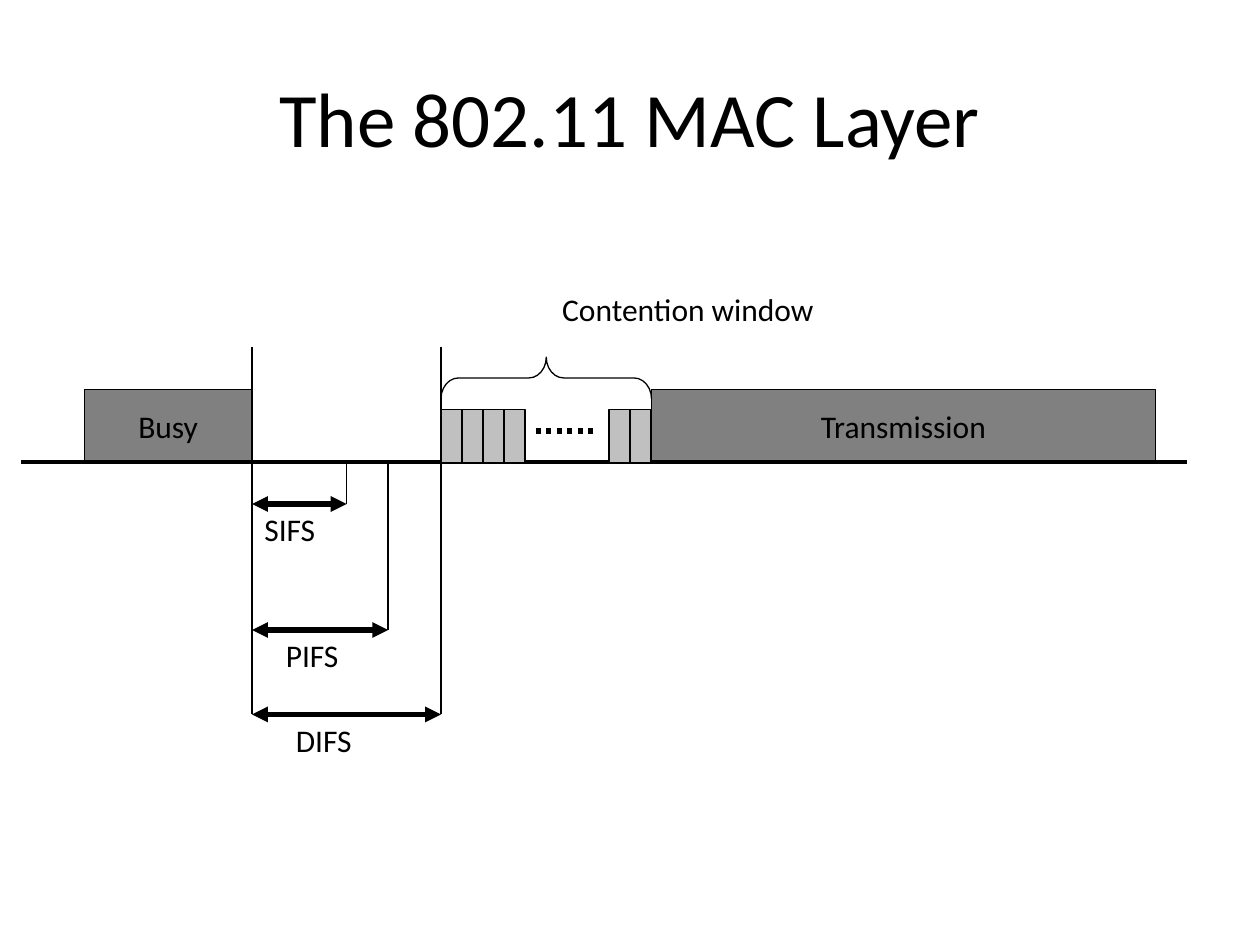
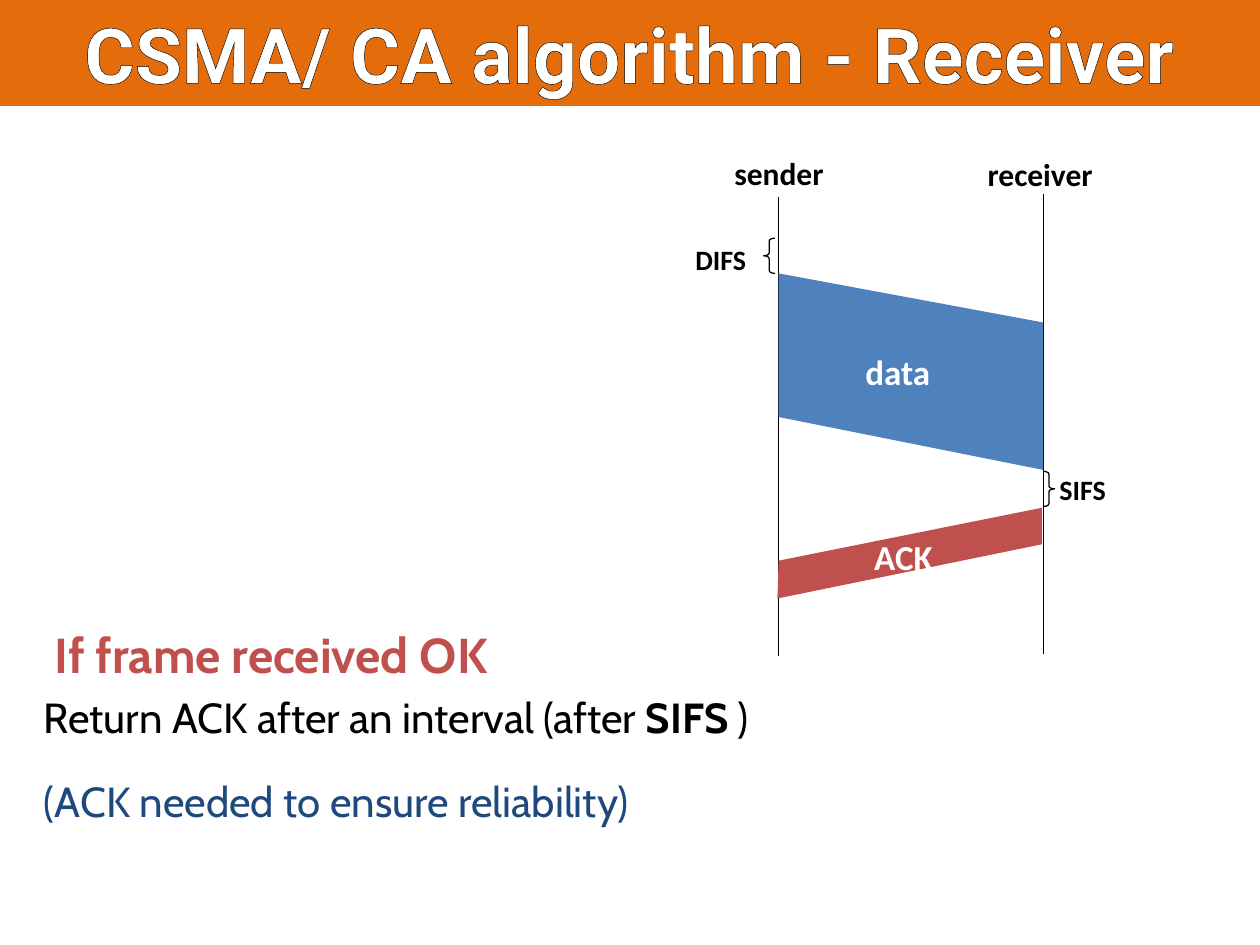
from dataclasses import dataclass

from lxml import etree
from pptx import Presentation
from pptx import util as u
from pptx.dml.color import RGBColor
from pptx.enum import dml, shapes, text
from pptx.oxml import ns


@dataclass(frozen=True)
class Theme:
    ink: str = "000000"
    paper: str = "FFFFFF"
    carrier: str = "808080"
    slot: str = "C0C0C0"
    band: str = "E46C0A"
    data: str = "4F81BD"
    ack: str = "C0504D"
    remark: str = "1F497D"
    font: str = "Calibri"
    band_font: str = "Roboto"
    rule_font: str = "Cabin"
    title: int = 44
    heading: int = 28
    body: int = 24
    frame: int = 20
    label: int = 18
    gap: int = 16
    hairline: float = 0.75
    axis: float = 2.25
    span: float = 3


@dataclass(frozen=True)
class Box:
    left: float
    top: float
    width: float
    height: float

    def sub(self, left, top, width, height):
        """Return a box placed relative to this one."""
        return Box(self.left + left, self.top + top, width, height)

    def point(self, x, y):
        return u.Inches(self.left + x), u.Inches(self.top + y)

    def lengths(self):
        return [u.Inches(v) for v in (self.left, self.top, self.width, self.height)]


THEME = Theme()
ALIGN = text.PP_ALIGN
SHAPE = shapes.MSO_SHAPE


def style_run(run, size, color=THEME.ink, font=THEME.font, bold=False):
    run.font.size = u.Pt(size)
    run.font.name = font
    run.font.bold = bold
    run.font.color.rgb = RGBColor.from_string(color)


def outline_run(run):
    """Draw a thin ink contour around the letters of a run."""
    properties = run.font._element
    contour = etree.Element(ns.qn("a:ln"), w=str(u.Pt(THEME.hairline)))
    fill = etree.SubElement(contour, ns.qn("a:solidFill"))
    etree.SubElement(fill, ns.qn("a:srgbClr"), val=THEME.ink)
    properties.insert(0, contour)


def write(shape, words, size, align=ALIGN.LEFT, wrap=True, **style):
    """Fill a shape with one styled line and return its run."""
    frame = shape.text_frame
    frame.word_wrap = wrap
    frame.text = words
    line = frame.paragraphs[0]
    line.alignment = align
    style_run(line.runs[0], size, **style)
    return line.runs[0]


def add_label(slide, box, words, size=THEME.label, **style):
    label = slide.shapes.add_textbox(*box.lengths())
    write(label, words, size, **style)
    return label


def paint(shape, fill=None, line=None):
    shape.shadow.inherit = False
    if fill:
        shape.fill.solid()
        shape.fill.fore_color.rgb = RGBColor.from_string(fill)
    else:
        shape.fill.background()
    if line:
        shape.line.color.rgb = RGBColor.from_string(line)
        shape.line.width = u.Pt(THEME.hairline)
    else:
        shape.line.fill.background()


def add_preset(slide, preset, box, fill=None, line=THEME.ink):
    shape = slide.shapes.add_shape(preset, *box.lengths())
    paint(shape, fill, line)
    return shape


def add_line(slide, start, end, width=THEME.hairline, arrows=False):
    line = slide.shapes.add_connector(shapes.MSO_CONNECTOR.STRAIGHT, *start, *end)
    line.line.color.rgb = RGBColor.from_string(THEME.ink)
    line.line.width = u.Pt(width)
    if arrows:
        for end_tag in ("a:headEnd", "a:tailEnd"):
            etree.SubElement(line.line._get_or_add_ln(), ns.qn(end_tag), type="triangle")
    etree.SubElement(line._element.spPr, ns.qn("a:effectLst"))
    return line


def add_plain_title(slide, box, words):
    title = add_label(slide, box, words, THEME.title, align=ALIGN.CENTER)
    title.text_frame.vertical_anchor = text.MSO_ANCHOR.MIDDLE


def add_band_title(slide, box, words):
    band = add_preset(slide, SHAPE.RECTANGLE, box, THEME.band, line=None)
    outline_run(write(band, words, THEME.title, ALIGN.CENTER, color=THEME.paper,
                      font=THEME.band_font, bold=True))


def add_contention_window(slide, box):
    """Draw back-off slots on the box floor, a brace over them and a caption."""
    slot_width, slot_height = 1 / 6, 0.42
    slot_top = box.height - slot_height
    for index in (0, 1, 2, 3, 8, 9):
        slot = box.sub(index * slot_width, slot_top, slot_width, slot_height)
        add_preset(slide, SHAPE.RECTANGLE, slot, THEME.slot)
    omitted = add_line(slide, box.point(0.75, slot_top + 0.17),
                       box.point(1.25, slot_top + 0.17), THEME.span)
    omitted.line.dash_style = dml.MSO_LINE.ROUND_DOT

    depth = 0.33
    brace_box = box.sub((box.width - depth) / 2, 0.75 - box.width / 2, depth, box.width)
    brace = add_preset(slide, SHAPE.LEFT_BRACE, brace_box)
    brace.rotation = 90
    brace.adjustments[0] = 0.42
    add_label(slide, box.sub(0.17, 0, 3.58, 0.51), "Contention window", align=ALIGN.CENTER)


def add_medium_timeline(slide, box):
    """Draw the channel over time with its inter-frame spaces below the axis."""
    axis_y, bar_height = 1.42, 0.58
    busy_end, window_start, window_width = 1.83, 3.33, 1.67
    window_end = window_start + window_width

    for words, start, width in (("Busy", 0.5, 1.33), ("Transmission", window_end, 4)):
        bar_box = box.sub(start, axis_y - bar_height, width, bar_height)
        bar = add_preset(slide, SHAPE.RECTANGLE, bar_box, THEME.carrier)
        write(bar, words, THEME.label, ALIGN.CENTER, wrap=False)

    add_line(slide, box.point(busy_end, 0.5), box.point(busy_end, 3.42))
    for words, length, y, indent, tick_top in (("DIFS", 1.5, 3.42, 0.25, 0.5),
                                               ("PIFS", 1.08, 2.75, 0.17, axis_y),
                                               ("SIFS", 0.75, 1.75, 0, axis_y)):
        space_end = busy_end + length
        add_line(slide, box.point(busy_end, y), box.point(space_end, y),
                 THEME.span, arrows=True)
        add_line(slide, box.point(space_end, tick_top), box.point(space_end, y))
        add_label(slide, box.sub(busy_end + indent, y, 1.17, 0.51), words)

    add_line(slide, box.point(0, axis_y), box.point(box.width, axis_y), THEME.axis)
    add_contention_window(slide, box.sub(window_start, 0, window_width, axis_y))


def add_frame(slide, box, corners, fill):
    """Draw a frame in flight as a slanted band between the two lifelines."""
    first, *others = [box.point(x, y) for x, y in corners]
    outline = slide.shapes.build_freeform(*first)
    outline.add_line_segments(others, close=True)
    paint(outline.convert_to_shape(), fill)


def add_exchange(slide, box):
    """Draw sender and receiver lifelines with the data and ACK frames."""
    sender, receiver = 0.76, 2.86
    for x, top in ((sender, 0.39), (receiver, 0.37)):
        add_line(slide, box.point(x, top), box.point(x, top + 3.65))

    add_frame(slide, box, ((sender, 1), (receiver, 1.39),
                           (receiver, 2.56), (sender, 2.14)), THEME.data)
    add_frame(slide, box, ((sender - 0.01, 3.58), (receiver - 0.01, 3.15),
                           (receiver - 0.01, 2.86), (sender, 3.28)), THEME.ack)

    for preset, x, y in ((SHAPE.LEFT_BRACE, 0.64, 0.72),
                         (SHAPE.RIGHT_BRACE, receiver, 2.57)):
        brace = add_preset(slide, preset, box.sub(x, y, 0.09, 0.28))
        brace.adjustments[0] = 0.25

    for words, x, y, width, height, size, color in (
            ("sender", 0.31, 0, 0.91, 0.4, THEME.label, THEME.ink),
            ("receiver", 2.32, 0.01, 1.04, 0.4, THEME.label, THEME.ink),
            ("DIFS", 0, 0.71, 0.61, 0.37, THEME.gap, THEME.ink),
            ("SIFS", 2.89, 2.53, 0.58, 0.37, THEME.gap, THEME.ink),
            ("data", 1.35, 1.56, 0.72, 0.44, THEME.frame, THEME.paper),
            ("ACK", 1.42, 3.03, 0.67, 0.44, THEME.frame, THEME.paper)):
        add_label(slide, box.sub(x, y, width, height), words, size,
                  color=color, bold=True, wrap=False)


def add_receiver_rule(slide, box):
    """Write the heading, the rule and the remark; each run is (words, size, color, bold)."""
    lines = (
        (1.5, 0, [(" If frame received OK", THEME.heading, THEME.ack, True)]),
        (1, 5, [("Return ACK after an interval (after ", THEME.body, THEME.ink, False),
                ("SIFS", THEME.body, THEME.ink, True),
                (" )", THEME.body, THEME.ink, False)]),
        (1.5, 5, [("(ACK needed to ensure reliability)", THEME.body, THEME.remark, False)]),
    )
    frame = slide.shapes.add_textbox(*box.lengths()).text_frame
    frame.word_wrap = True
    for index, (spacing, before, runs) in enumerate(lines):
        line = frame.add_paragraph() if index else frame.paragraphs[0]
        line.line_spacing = spacing
        line.space_before = u.Pt(before)
        for words, size, color, bold in runs:
            run = line.add_run()
            run.text = words
            style_run(run, size, color, THEME.rule_font, bold)


def build_mac_layer(slide):
    add_plain_title(slide, Box(0.5, 0.3, 9, 1.25), "The 802.11 MAC Layer")
    add_medium_timeline(slide, Box(0.17, 2.25, 9.25, 3.93))


def build_receiver(slide):
    add_receiver_rule(slide, Box(0.25, 4.67, 7.67, 2.25))
    add_band_title(slide, Box(0, 0, 10, 0.84), "CSMA/ CA algorithm - Receiver")
    add_exchange(slide, Box(5.42, 1.17, 3.47, 4.04))


def main():
    deck = Presentation()
    deck.slide_width, deck.slide_height = u.Inches(10), u.Inches(7.5)
    blank = deck.slide_layouts[6]
    for build in (build_mac_layer, build_receiver):
        build(deck.slides.add_slide(blank))
    deck.save("out.pptx")


if __name__ == "__main__":
    main()
